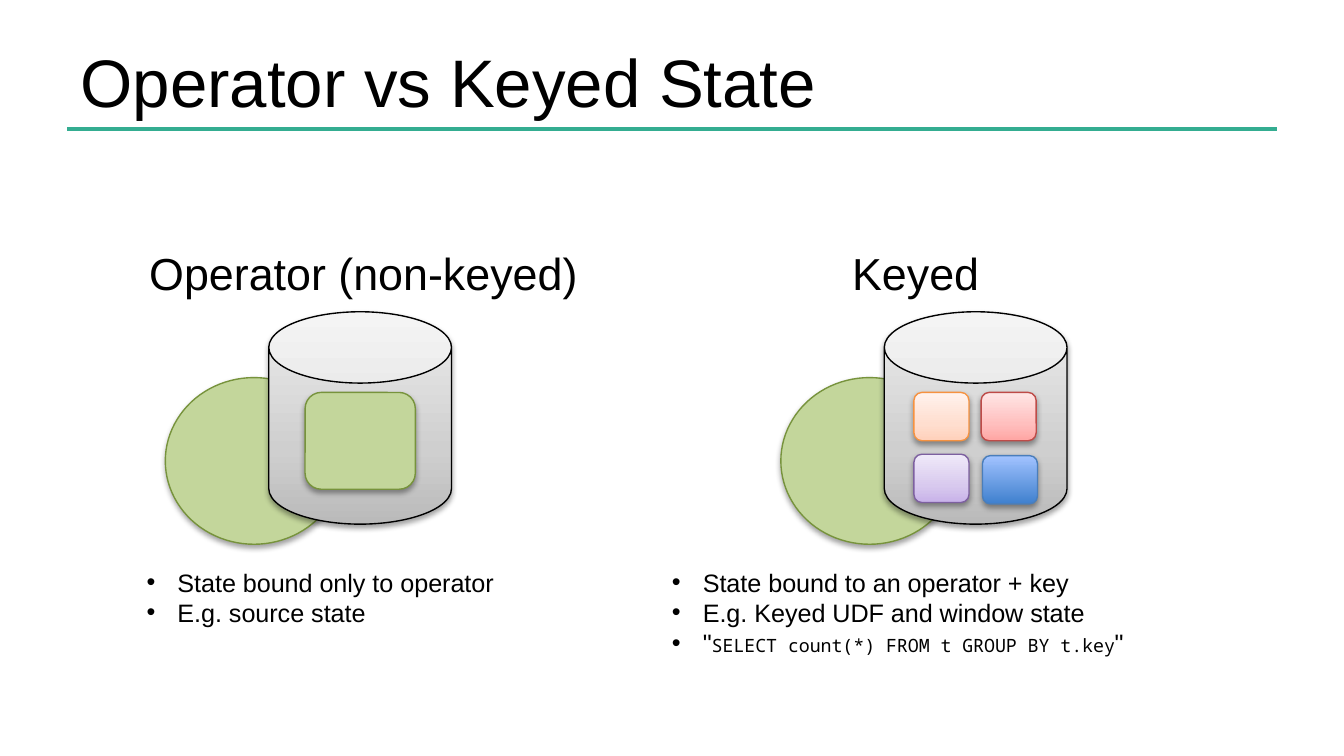
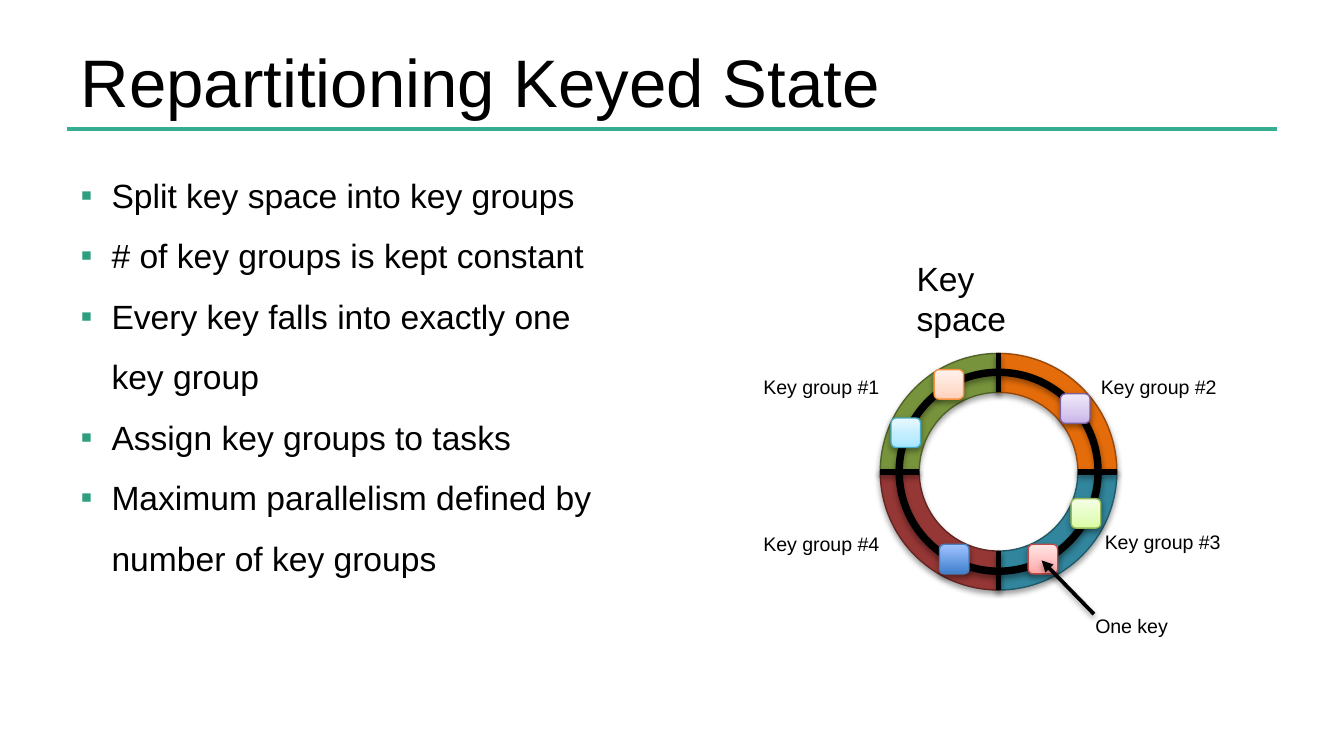
from pptx import Presentation
from pptx.dml.color import RGBColor
from pptx.enum.shapes import MSO_CONNECTOR, MSO_SHAPE
from pptx.enum.text import MSO_ANCHOR, MSO_AUTO_SIZE, PP_ALIGN
from pptx.oxml.ns import qn
from pptx.util import Inches, Pt
from lxml.etree import SubElement

BLACK, TEAL, BULLET = "000000", "34AD91", "2D9E7E"
SANS, MONO = "Arial", "Noto Sans Mono"
GREEN = ("C3D69B", "77933C")
STEEL = ([(0, "BABABA"), (35, "CFCFCF"), (100, "EDEDED")], BLACK)
KEY_STYLES = {
    "orange": ([(0, "FFD1BB"), (35, "FFDECF"), (100, "FFF2ED")], "F69240"),
    "red": ([(0, "FFA5A3"), (35, "FFBFBE"), (100, "FFE6E6")], "BE4B48"),
    "purple": ([(0, "C8B2E9"), (35, "D8C9EE"), (100, "F0EAF9")], "7D60A0"),
    "blue": ([(0, "3F80CE"), (100, "A2C3FF")], "4A7EBB"),
    "cyan": ([(0, "A5E6FF"), (35, "BFEDFF"), (100, "E7F8FF")], "46AAC4"),
    "lime": ([(0, "DAFEA4"), (35, "E4FDBF"), (100, "F5FFE6")], "98B955"),
}

STATES = [
    {
        "heading": "Operator (non-keyed)", "heading_at": (1.07, 1.78, 3.62, 0.5),
        "left": 1.23, "notes_at": (1.05, 4.17, 2.99, 0.56),
        "notes": ["State bound only to operator", "E.g. source state"],
        "cells": [(1.04, 2.92, 0.82, 0.72, GREEN)],
    },
    {
        "heading": "Keyed", "heading_at": (6.3, 1.78, 2.42, 0.5),
        "left": 5.81, "notes_at": (4.96, 4.17, 3.76, 0.78),
        "notes": [
            "State bound to an operator + key",
            "E.g. Keyed UDF and window state",
            [('"', {}), ("SELECT count(*) FROM t GROUP BY t.key", {"name": MONO, "size": Pt(9.75)}), ('"', {})],
        ],
        "cells": [
            (0.99, 2.92, 0.41, 0.36, KEY_STYLES["orange"]),
            (1.49, 2.92, 0.41, 0.36, KEY_STYLES["red"]),
            (0.99, 3.38, 0.41, 0.36, KEY_STYLES["purple"]),
            (1.5, 3.39, 0.41, 0.36, KEY_STYLES["blue"]),
        ],
    },
]

POINTS = [
    "Split key space into key groups",
    "# of key groups is kept constant",
    "Every key falls into exactly one key group",
    "Assign key groups to tasks",
    "Maximum parallelism defined by number of key groups",
]
GROUPS = [
    ("Key group #1", 5.64, 2.75, ("77933C", "4F6228")),
    ("Key group #2", 8.15, 2.75, ("E46C0A", "984807")),
    ("Key group #3", 8.18, 3.9, ("31859C", "215968")),
    ("Key group #4", 5.64, 3.92, ("953735", "632523")),
]
KEYS = [
    ("orange", 6.95, 2.75), ("cyan", 6.63, 3.11), ("purple", 7.89, 2.93),
    ("lime", 7.97, 3.71), ("red", 7.65, 4.05), ("blue", 6.99, 4.05),
]
CX, CY = 7.43, 3.51
RING_R, HOLE_R, TRACK_R = 0.88, 0.59, 0.74


def rgb(value):
    return RGBColor.from_string(value)


def box(at):
    return [Inches(v) for v in at]


def set_effect(shape, shadow=True):
    props = shape._element.spPr
    effects = props.find(qn("a:effectLst"))
    if effects is None:
        effects = SubElement(props, qn("a:effectLst"))
    if shadow:
        drop = SubElement(effects, qn("a:outerShdw"), blurRad=str(Pt(3)), dist=str(Pt(1.7)),
                          dir="5400000", rotWithShape="0")
        color = SubElement(drop, qn("a:srgbClr"), val=BLACK)
        SubElement(color, qn("a:alpha"), val="36000")


def paint(shape, fill):
    if fill is None:
        shape.fill.background()
    elif isinstance(fill, str):
        shape.fill.solid()
        shape.fill.fore_color.rgb = rgb(fill)
    else:
        shape.fill.gradient()
        shape.fill.gradient_angle = 90
        stops = shape._element.spPr.find(qn("a:gradFill")).find(qn("a:gsLst"))
        for stop in list(stops):
            stops.remove(stop)
        for pos, color in fill:
            stop = SubElement(stops, qn("a:gs"), pos=str(pos * 1000))
            SubElement(stop, qn("a:srgbClr"), val=color)


def add_figure(s, kind, at, style, width=0.75, adjust=()):
    shape = s.shapes.add_shape(kind, *box(at))
    for i, value in enumerate(adjust):
        shape.adjustments[i] = value
    paint(shape, style[0])
    shape.line.color.rgb = rgb(style[1])
    shape.line.width = Pt(width)
    shape.shadow.inherit = False
    set_effect(shape)
    return shape


def add_line(s, start, end, color, width, shadow=True, arrow=False):
    line = s.shapes.add_connector(MSO_CONNECTOR.STRAIGHT, *box(start + end))
    line.line.color.rgb = rgb(color)
    line.line.width = Pt(width)
    if arrow:
        SubElement(line.line._get_or_add_ln(), qn("a:tailEnd"), type="triangle")
    set_effect(line, shadow)
    return line


def add_bullet(p, char, color):
    pPr = p._p.get_or_add_pPr()
    pPr.set("marL", str(Inches(0.23)))
    pPr.set("indent", str(-Inches(0.23)))
    SubElement(SubElement(pPr, qn("a:buClr")), qn("a:srgbClr"), val=color)
    SubElement(pPr, qn("a:buFont"), typeface=SANS)
    SubElement(pPr, qn("a:buChar"), char=char)


def write(tf, paragraphs, size, bullet=None, bullet_color=BLACK, spacing=1.0):
    tf.word_wrap = True
    tf.auto_size = MSO_AUTO_SIZE.NONE
    for i, runs in enumerate(paragraphs):
        p = tf.paragraphs[0] if i == 0 else tf.add_paragraph()
        layout = {"alignment": PP_ALIGN.LEFT, "line_spacing": spacing,
                  "space_before": Pt(0), "space_after": Pt(0)}
        for name, value in layout.items():
            setattr(p, name, value)
        if bullet:
            add_bullet(p, bullet, bullet_color)
        for text, changes in [(runs, {})] if isinstance(runs, str) else runs:
            r = p.add_run()
            r.text = text
            for name, value in ({"name": SANS, "size": Pt(size)} | changes).items():
                setattr(r.font, name, value)
            r.font.color.rgb = rgb(BLACK)


def add_text(s, at, paragraphs, size, inset=0.05, **options):
    tf = s.shapes.add_textbox(*box(at)).text_frame
    margins = {"margin_left": 0.04, "margin_right": 0.04, "margin_top": inset, "margin_bottom": inset}
    for name, value in margins.items():
        setattr(tf, name, Inches(value))
    write(tf, paragraphs, size, **options)


def place(shape, at):
    for name, value in zip(("left", "top", "width", "height"), box(at)):
        setattr(shape, name, value)
    return shape.text_frame


def add_slide(prs, layout, title):
    s = prs.slides.add_slide(prs.slide_layouts[layout])
    tf = place(s.shapes.title, (0.5, 0.23, 9, 0.74))
    tf.vertical_anchor = MSO_ANCHOR.MIDDLE
    write(tf, [title], 36)
    return s


def build_states(prs):
    s = add_slide(prs, 5, "Operator vs Keyed State")
    rule = add_line(s, (0.5, 0.96), (9.5, 0.96), TEAL, 2, shadow=False)
    prs.slide_master.shapes._spTree.append(rule._element)
    for state in STATES:
        left = state["left"]
        add_figure(s, MSO_SHAPE.OVAL, (left, 2.81, 1.32, 1.24), GREEN)
        add_figure(s, MSO_SHAPE.CAN, (left + 0.77, 2.32, 1.36, 1.58), STEEL, adjust=[0.39])
        for dx, top, width, height, style in state["cells"]:
            add_figure(s, MSO_SHAPE.ROUNDED_RECTANGLE, (left + dx, top, width, height), style)
        add_text(s, state["notes_at"], state["notes"], 13.5, bullet="•")
        add_text(s, state["heading_at"], [state["heading"]], 24)


def build_key_space(prs):
    s = add_slide(prs, 1, "Repartitioning Keyed State")
    tf = place(s.placeholders[1], (0.5, 1.1, 4.28, 3.79))
    write(tf, POINTS, 18, bullet="▪", bullet_color=BULLET, spacing=1.5)

    ring = (CX - RING_R, CY - RING_R, 2 * RING_R, 2 * RING_R)
    thickness = (RING_R - HOLE_R) / (2 * RING_R)
    for i, (label, left, top, style) in enumerate(GROUPS):
        arc = add_figure(s, MSO_SHAPE.BLOCK_ARC, ring, style, adjust=[108, 162, thickness])
        arc.rotation = 90 * i
        add_text(s, (left, top, 0.98, 0.25), [label], 10.5, inset=0.04)
    track = (CX - TRACK_R, CY - TRACK_R, 2 * TRACK_R, 2 * TRACK_R)
    add_figure(s, MSO_SHAPE.OVAL, track, (None, BLACK), width=4)
    add_text(s, (6.78, 1.88, 1.23, 0.38), ["Key space"], 18, inset=0.04)

    for dx, dy in [(-1, 0), (1, 0), (0, -1), (0, 1)]:
        inner, outer = [(CX + dx * r, CY + dy * r) for r in (HOLE_R, RING_R)]
        add_line(s, inner, outer, BLACK, 3)
    for name, left, top in KEYS:
        add_figure(s, MSO_SHAPE.ROUNDED_RECTANGLE, (left, top, 0.22, 0.22), KEY_STYLES[name])
    add_line(s, (8.14, 4.57), (7.75, 4.17), BLACK, 2, arrow=True)
    add_text(s, (8.11, 4.52, 0.64, 0.28), ["One key"], 10.5)


def main():
    prs = Presentation()
    prs.slide_width = Inches(10)
    prs.slide_height = prs.slide_width * 9 // 16
    build_states(prs)
    build_key_space(prs)
    prs.save("out.pptx")


if __name__ == "__main__":
    main()
